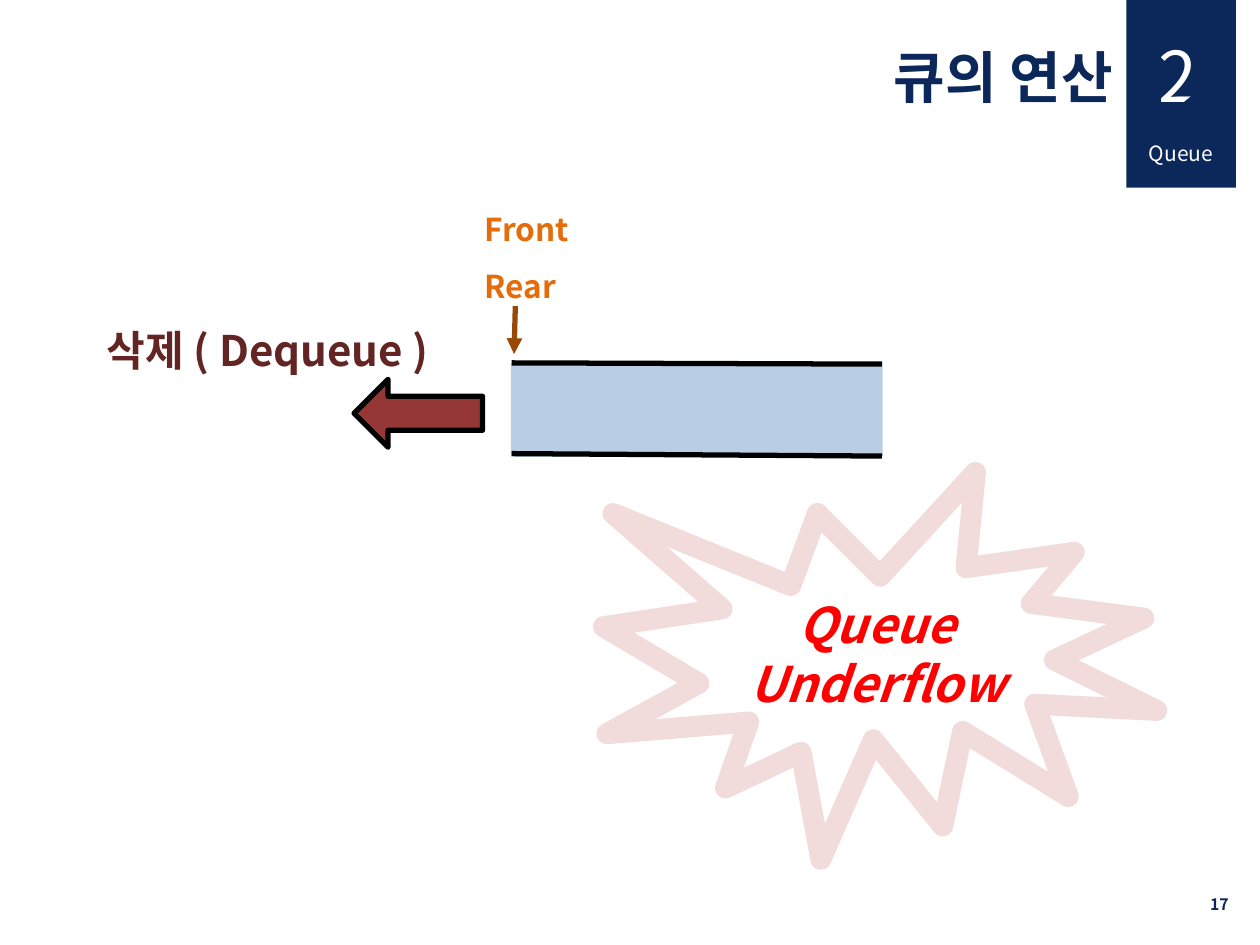
from lxml.etree import SubElement
from pptx import Presentation
from pptx.dml.color import RGBColor
from pptx.enum.shapes import MSO_CONNECTOR as LINK, MSO_SHAPE as FORM
from pptx.enum.text import MSO_ANCHOR as ANCHOR, MSO_AUTO_SIZE as AUTO, PP_ALIGN as ALIGN
from pptx.oxml.ns import qn
from pptx.util import Inches, Pt

COLS, ROWS, CELL = 100, 75, Inches(0.1)
INK = {"navy": "0C2759", "white": "FFFFFF", "sky": "B9CDE5", "black": "000000",
       "brown": "984807", "orange": "E46C0A", "pink": "F2DCDB", "red": "FF0000",
       "wine": "632523", "brick": "953735"}
FONT = "Noto Sans CJK KR"


def grid(*cells):
    """Turn grid cells into slide lengths."""
    return [round(n * CELL) for n in cells]


def tint(name):
    """Look up a named colour."""
    return RGBColor.from_string(INK[name])


def write(frame, text, size=18, ink="navy", bold=False, slant=False,
          align=ALIGN.LEFT, gap=None):
    """Fill a text frame, one paragraph for each line."""
    for i, line in enumerate(text.split("\n")):
        para = frame.add_paragraph() if i else frame.paragraphs[0]
        para.alignment, para.line_spacing = align, gap
        run = para.add_run()
        run.text = line
        font = run.font
        font.name, font.size, font.bold, font.italic = FONT, Pt(size), bold, slant
        font.color.rgb = tint(ink)
        SubElement(run._r.get_or_add_rPr(), qn("a:ea")).set("typeface", FONT)


class Deck:
    """Hold the style and the current slide."""

    def __init__(self):
        """Start a deck with one blank slide."""
        self.file = Presentation()
        self.file.slide_width, self.file.slide_height = grid(COLS, ROWS)
        self.slide = self.file.slides.add_slide(self.file.slide_layouts[6])

    def text(self, box, words, wrap=True, grow=True, anchor=ANCHOR.TOP, **look):
        """Add a text box."""
        frame = self.slide.shapes.add_textbox(*grid(*box)).text_frame
        frame.word_wrap, frame.vertical_anchor = wrap, anchor
        frame.auto_size = AUTO.SHAPE_TO_FIT_TEXT if grow else AUTO.NONE
        write(frame, words, **look)

    def shape(self, form, box, fill=None, edge=None, width=3, turn=0, adjust=()):
        """Add a preset shape."""
        shape = self.slide.shapes.add_shape(form, *grid(*box))
        shape.shadow.inherit = False
        shape.rotation = turn
        for i, share in enumerate(adjust):
            shape.adjustments[i] = share
        if fill:
            shape.fill.solid()
            shape.fill.fore_color.rgb = tint(fill)
        else:
            shape.fill.background()
        if edge:
            shape.line.color.rgb, shape.line.width = tint(edge), Pt(width)
        else:
            shape.line.fill.background()
        return shape

    def line(self, ends, ink="black", width=3, arrow=False):
        """Add a straight line, with an arrowhead if asked."""
        link = self.slide.shapes.add_connector(LINK.STRAIGHT, *grid(*ends))
        link.line.color.rgb, link.line.width = tint(ink), Pt(width)
        frame = link._element.spPr
        if arrow:
            SubElement(frame.find(qn("a:ln")), qn("a:tailEnd")).set("type", "triangle")
        SubElement(frame, qn("a:effectLst"))


def main():
    """Build the queue slide."""
    deck = Deck()
    deck.text((75.2, 69.8, 23.3, 4), "17", grow=False, anchor=ANCHOR.MIDDLE,
              size=9, bold=True, align=ALIGN.RIGHT)
    deck.text((65.2, 2.9, 24.1, 6.4), "큐의 연산", size=32, bold=True, align=ALIGN.RIGHT)

    deck.shape(FORM.RECTANGLE, (89.4, 0, 8.7, 14.9), "navy")
    deck.text((90.2, 10.7, 7.9, 3), "Queue", size=12, ink="white", align=ALIGN.JUSTIFY)
    deck.text((91, 2.1, 6.3, 7.7), "2", size=40, ink="white")
    deck.shape(FORM.ISOSCELES_TRIANGLE, (91.8, 6, 4.7, 3.9), "navy", adjust=[1])

    deck.shape(FORM.RECTANGLE, (51.6, 17.8, 7.4, 29.5), "sky", turn=90)
    for right, left in ((28.9, 28.8), (36.2, 36)):
        deck.line((70, right, 40.6, left))
    deck.line((40.9, 24.3, 40.8, 28.1), "brown", arrow=True)
    deck.text((37.5, 14.7, 9.7, 9.6), "Front\nRear", wrap=False,
              ink="orange", bold=True, gap=1.5)

    burst = deck.shape(FORM.EXPLOSION1, (47.9, 37.5, 43.9, 30.7), edge="pink", width=12)
    burst.text_frame.word_wrap = True
    burst.text_frame.vertical_anchor = ANCHOR.MIDDLE
    write(burst.text_frame, "Queue Underflow", size=28, ink="red",
          bold=True, slant=True, align=ALIGN.CENTER)

    deck.text((7.5, 23.3, 30.7, 6.4), "삭제 ( Dequeue )", wrap=False,
              size=24, ink="wine", bold=True, gap=1.5)
    deck.shape(FORM.UP_ARROW, (30.5, 27.7, 5.4, 10.2), "brick", "black", turn=270)
    deck.file.save("out.pptx")


main()
